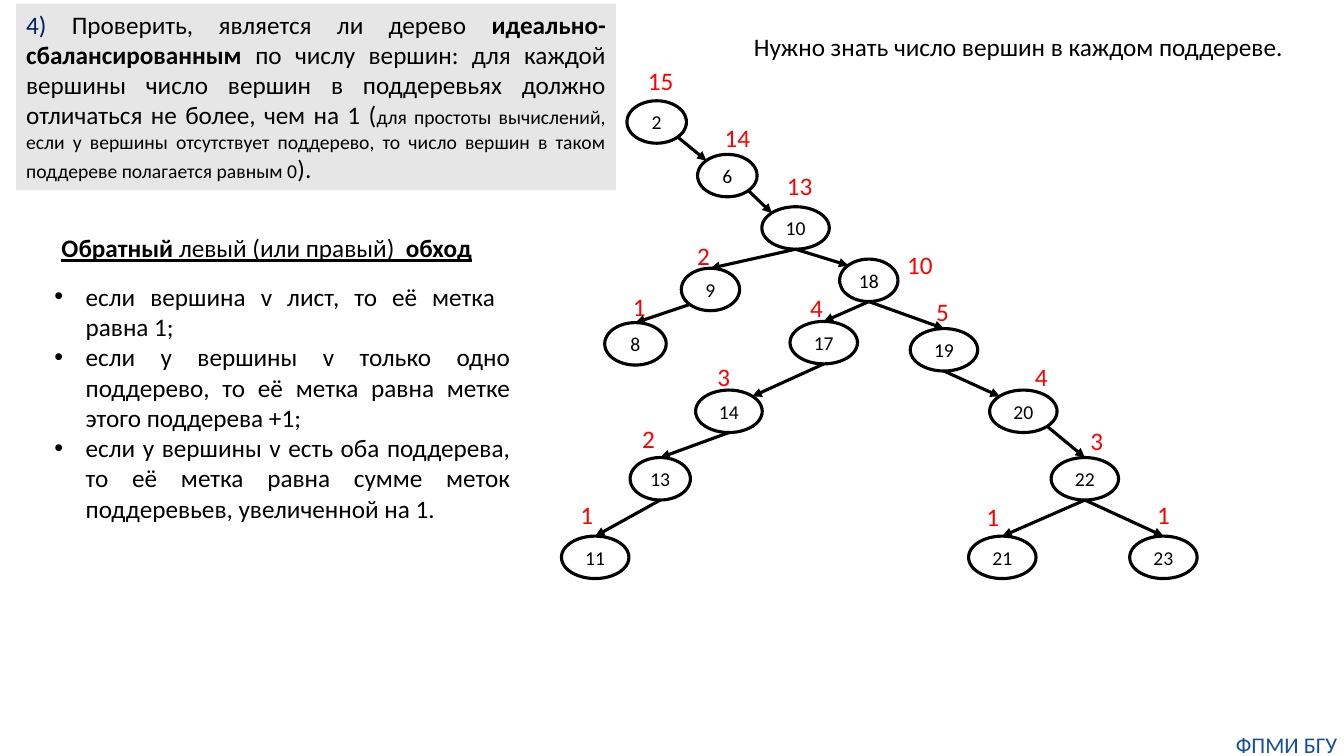
from lxml import etree
from pptx import Presentation
from pptx import util as u
from pptx.dml.color import RGBColor
from pptx.enum import shapes, text
from pptx.oxml import ns

BLACK, RED, NAVY, BLUE, GREY = "000000", "FF0000", "002060", "144E9D", "E7E6E6"

NODES = {
    2: (15.8, 2.54, 1.5, 16.08, 1.52),
    6: (17.58, 3.89, 1.5, 18.01, 2.95),
    10: (19.2, 5.21, 1.7, 19.58, 4.17),
    9: (17.17, 6.76, 1.47, 17.32, 5.92),
    18: (21.16, 6.53, 1.47, 22.61, 6.17),
    8: (15.24, 8.13, 1.55, 15.7, 7.21),
    17: (19.91, 8.1, 1.7, 20.17, 7.24),
    19: (22.94, 8.28, 1.7, 23.34, 7.34),
    14: (17.53, 9.83, 1.68, 17.83, 8.97),
    20: (24.94, 9.83, 1.7, 25.83, 8.99),
    13: (15.88, 11.53, 1.52, 15.93, 10.54),
    22: (26.49, 11.53, 1.7, 27.23, 10.59),
    11: (14.15, 13.51, 1.7, 14.38, 12.45),
    21: (24.41, 13.51, 1.7, 24.61, 12.52),
    23: (28.47, 13.51, 1.7, 28.91, 12.45),
}
NODE_H = 1.07

EDGES = [
    (2, "bottom right", 6, "top left"),
    (6, "bottom right", 10, "top left"),
    (10, "bottom", 9, "top"),
    (10, "bottom", 18, "top left"),
    (9, "bottom left", 8, "top"),
    (18, "bottom", 17, "top"),
    (18, "bottom", 19, "top"),
    (17, "bottom", 14, "top right"),
    (14, "bottom", 13, "top"),
    (13, "bottom", 11, "top"),
    (19, "bottom", 20, "top left"),
    (20, "bottom right", 22, "top"),
    (22, "bottom", 21, "top"),
    (22, "bottom", 23, "top"),
]

SITES = {
    "top": (0.5, 0),
    "bottom": (0.5, 1),
    "top left": (0.15, 0.15),
    "top right": (0.85, 0.15),
    "bottom left": (0.15, 0.85),
    "bottom right": (0.85, 0.85),
}

RULES = [
    "если вершина v лист, то её метка  равна 1;",
    "если у вершины v только одно поддерево, то её метка равна метке этого поддерева +1;",
    "если у вершины v есть оба поддерева, то её метка равна сумме меток поддеревьев, увеличенной на 1.",
]


def rgb(value):
    return RGBColor.from_string(value)


def subtree_size(node):
    return 1 + sum(subtree_size(child) for parent, _, child, _ in EDGES if parent == node)


def site_point(node, site):
    x, y, w = NODES[node][:3]
    dx, dy = SITES[site]
    return x + dx * w, y + dy * NODE_H


class Deck:
    font = {"name": "Calibri", "size": u.Pt(18)}
    line_width = u.Pt(2.25)

    def __init__(self, width, height):
        self.prs = Presentation()
        self.prs.slide_width, self.prs.slide_height = u.Cm(width), u.Cm(height)
        self.s = self.prs.slides.add_slide(self.prs.slide_layouts[6])

    def put_text(self, tf, paragraphs, align=None, bullet=False, **frame):
        for name, value in frame.items():
            setattr(tf, name, value)
        for i, runs in enumerate(paragraphs):
            p = tf.add_paragraph() if i else tf.paragraphs[0]
            p.alignment = align
            if bullet:
                pPr = p._p.get_or_add_pPr()
                pPr.set("marL", str(u.Cm(0.79)))
                pPr.set("indent", str(u.Cm(-0.79)))
                etree.SubElement(pPr, ns.qn("a:buFont"), typeface="Arial")
                etree.SubElement(pPr, ns.qn("a:buChar"), char="•")
            for content, color, style in runs:
                r = p.add_run()
                r.text = content
                r.font.color.rgb = rgb(color)
                for name, value in {**self.font, **style}.items():
                    setattr(r.font, name, value)

    def text(self, box, paragraphs, wrap=True, **options):
        sp = self.s.shapes.add_textbox(*map(u.Cm, box))
        self.put_text(sp.text_frame, paragraphs, word_wrap=wrap,
                      auto_size=text.MSO_AUTO_SIZE.SHAPE_TO_FIT_TEXT, **options)

    def shape(self, kind, box, paragraphs, fill=None, line=None, **options):
        sp = self.s.shapes.add_shape(kind, *map(u.Cm, box))
        sp.shadow.inherit = False
        if fill:
            sp.fill.solid()
            sp.fill.fore_color.rgb = rgb(fill)
        else:
            sp.fill.background()
        if line:
            sp.line.color.rgb = rgb(line)
            sp.line.width = self.line_width
        else:
            sp.line.fill.background()
        self.put_text(sp.text_frame, paragraphs, **options)

    def arrow(self, start, end):
        sp = self.s.shapes.add_connector(shapes.MSO_CONNECTOR.STRAIGHT, *map(u.Cm, start + end))
        sp.line.color.rgb = rgb(BLACK)
        sp.line.width = self.line_width
        spPr = sp._element.spPr
        etree.SubElement(spPr.find(ns.qn("a:ln")), ns.qn("a:tailEnd"), type="triangle")
        etree.SubElement(spPr, ns.qn("a:effectLst"))


def main():
    deck = Deck(33.87, 19.05)
    justify, center = text.PP_ALIGN.JUSTIFY, text.PP_ALIGN.CENTER
    bold, small = {"bold": True}, {"size": u.Pt(14)}

    for node, (*_, x, y) in NODES.items():
        size = str(subtree_size(node))
        width = 0.84 if len(size) == 1 else 1.17
        deck.text((x, y, width, 1.02), [[(size, RED, {})]], wrap=False)

    deck.text((1.12, 6.96, 11.99, 6.4), [[(rule, BLACK, {})] for rule in RULES],
              align=justify, bullet=True)

    for node, (x, y, w, *_) in NODES.items():
        deck.shape(shapes.MSO_SHAPE.OVAL, (x, y, w, NODE_H), [[(str(node), BLACK, small)]],
                   line=BLACK, align=center, vertical_anchor=text.MSO_ANCHOR.MIDDLE)

    for parent, out_site, child, in_site in EDGES:
        deck.arrow(site_point(parent, out_site), site_point(child, in_site))

    task = [
        ("4) ", NAVY, {}),
        ("Проверить, является ли дерево ", BLACK, {}),
        ("идеально-сбалансированным", BLACK, bold),
        (" по числу вершин: для каждой вершины число вершин в поддеревьях "
         "должно отличаться не более, чем на 1 (", BLACK, {}),
        ("для простоты вычислений, если у вершины отсутствует поддерево, то число вершин "
         "в таком поддереве полагается равным 0", BLACK, small),
        (").", BLACK, {}),
    ]
    deck.shape(shapes.MSO_SHAPE.RECTANGLE, (0.41, 0.1, 15.11, 4.7), [task], fill=GREY,
               align=justify, vertical_anchor=text.MSO_ANCHOR.TOP, word_wrap=True,
               auto_size=text.MSO_AUTO_SIZE.SHAPE_TO_FIT_TEXT)

    deck.text((30.99, 18.42, 2.87, 0.69), [[("ФПМИ БГУ", BLUE, {"size": u.Pt(16)})]], align=center,
              margin_left=0, margin_top=0, margin_right=0, margin_bottom=0)
    deck.text((18.75, 0.66, 14.15, 1.02),
              [[("Нужно знать число вершин в каждом поддереве.", BLACK, {})]], wrap=False)

    underline = {"underline": True}
    deck.text((1.3, 5.74, 13.31, 1.02), [[
        ("Обратный ", BLACK, {**bold, **underline}),
        ("левый (или правый)  ", BLACK, underline),
        ("обход", BLACK, {**bold, **underline}),
    ]])

    deck.prs.save("out.pptx")


if __name__ == "__main__":
    main()
